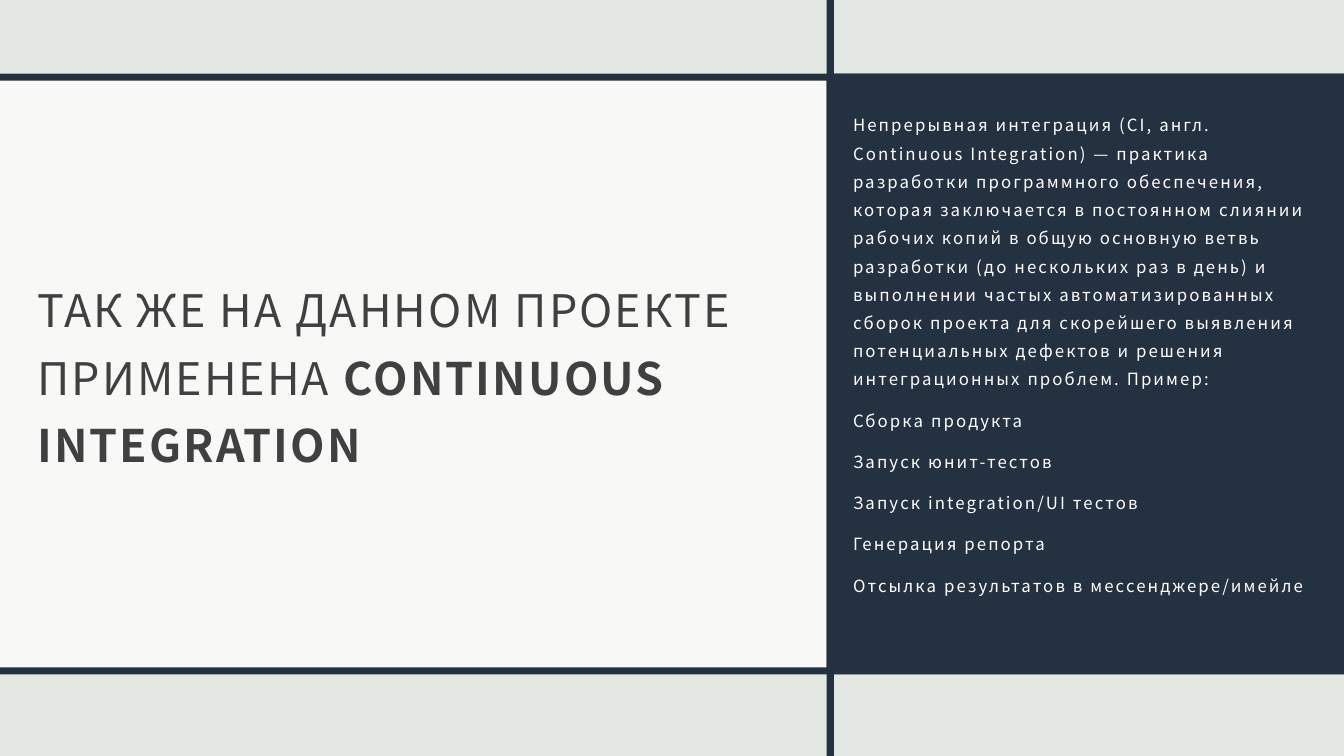
"""Build the slide on continuous integration."""
from dataclasses import dataclass

from lxml import etree
from pptx import Presentation
from pptx import util as u
from pptx.dml.color import RGBColor
from pptx.enum import shapes, text
from pptx.oxml import ns

NAVY, SAGE, WHITE, GREY = "243141", "E4E8E2", "FFFFFF", "404040"
FONT = "Noto Sans CJK KR"
WIDE, HIGH = 13.33, 7.5
SPLIT, TOP, BASE, BAR = 8.2, 0.73, 6.69, 0.07

TITLE = [[("ТАК ЖЕ НА ДАННОМ ПРОЕКТЕ ПРИМЕНЕНА\u00a0", False),
          ("CONTINUOUS INTEGRATION", True)]]
INTRO = ("Непрерывная интеграция (CI, англ. Continuous Integration) — практика "
         "разработки программного обеспечения, которая заключается в постоянном "
         "слиянии рабочих копий в общую основную ветвь разработки (до нескольких "
         "раз в день) и выполнении частых автоматизированных сборок проекта для "
         "скорейшего выявления потенциальных дефектов и решения интеграционных "
         "проблем. Пример:")
STEPS = ["Сборка продукта", "Запуск юнит-тестов", "Запуск integration/UI тестов",
         "Генерация репорта", "Отсылка результатов в мессенджере/имейле"]


@dataclass
class Box:
    """A place on the slide, in inches."""
    left: float
    top: float
    width: float
    height: float

    def place(self) -> list:
        """Return the four lengths."""
        return [u.Inches(n) for n in (self.left, self.top, self.width, self.height)]


@dataclass
class Panel:
    """A flat rectangle with a fill and its opacity in percent."""
    box: Box
    color: str
    alpha: int = 100


PANELS = [
    Panel(Box(0, TOP, SPLIT, BASE - TOP), WHITE, 75),
    Panel(Box(SPLIT, TOP, WIDE - SPLIT, BASE - TOP), NAVY),
    Panel(Box(SPLIT, 0, BAR, HIGH), NAVY),
    Panel(Box(0, TOP, WIDE, BAR), NAVY),
    Panel(Box(0, BASE - BAR, WIDE, BAR), NAVY),
]


def paint(fill, color: str) -> None:
    """Fill with one solid colour."""
    fill.solid()
    fill.fore_color.rgb = RGBColor.from_string(color)


def draw(slide, panel: Panel) -> None:
    """Draw one panel."""
    shape = slide.shapes.add_shape(shapes.MSO_SHAPE.RECTANGLE, *panel.box.place())
    shape.shadow.inherit = False
    shape.line.fill.background()
    paint(shape.fill, panel.color)
    if panel.alpha < 100:
        tint = next(shape._element.spPr.iter(ns.qn("a:srgbClr")))
        etree.SubElement(tint, ns.qn("a:alpha")).set("val", str(panel.alpha * 1000))


def write(slide, box: Box, paras: list, *, size: float, color: str,
          lead: float, gap: float = 0, foot: float = 0.1) -> None:
    """Write paragraphs of (words, bold) runs in a text box."""
    frame = slide.shapes.add_textbox(*box.place()).text_frame
    frame.word_wrap = True
    frame.vertical_anchor = text.MSO_ANCHOR.MIDDLE
    frame.margin_left = frame.margin_right = frame.margin_top = u.Inches(0.12)
    frame.margin_bottom = u.Inches(foot)
    for i, runs in enumerate(paras):
        para = frame.add_paragraph() if i else frame.paragraphs[0]
        para.line_spacing = lead
        para.space_before = u.Pt(gap)
        for words, bold in runs:
            run = para.add_run()
            run.text = words
            font = run.font
            font.name, font.size, font.bold = FONT, u.Pt(size), bold
            paint(font.fill, color)
            run._r.get_or_add_rPr().set("spc", "150")


def main() -> None:
    """Build and save the deck."""
    deck = Presentation()
    deck.slide_width, deck.slide_height = u.Inches(WIDE), u.Inches(HIGH)
    slide = deck.slides.add_slide(deck.slide_layouts[6])
    paint(slide.background.fill, SAGE)
    for panel in PANELS:
        draw(slide, panel)
    write(slide, Box(0.25, 1.3, 7.26, 4.73), TITLE, size=32, color=GREY, lead=1.25)
    write(slide, Box(8.34, 0.9, 4.89, 5.5), [[(line, False)] for line in [INTRO, *STEPS]],
          size=12, color=WHITE, lead=1.4, gap=9.3, foot=0.45)
    deck.save("out.pptx")


main()
